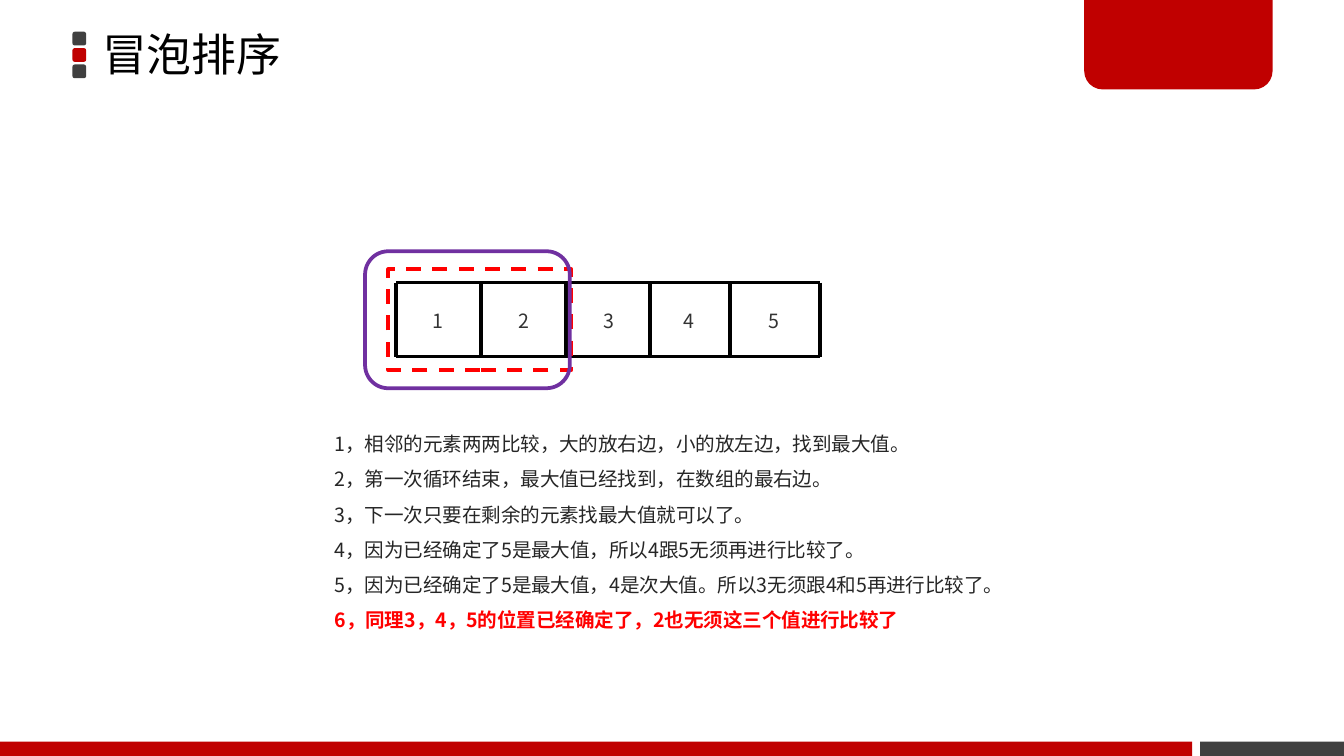
from dataclasses import dataclass

from lxml.etree import SubElement
from pptx import Presentation
from pptx.dml.color import RGBColor
from pptx.enum.dml import MSO_LINE
from pptx.enum.shapes import MSO_CONNECTOR, MSO_SHAPE
from pptx.enum.text import MSO_ANCHOR, MSO_AUTO_SIZE, PP_ALIGN
from pptx.oxml.ns import qn
from pptx.util import Cm, Pt


@dataclass(frozen=True)
class Theme:
    red: str = "C00000"
    gray: str = "404040"
    black: str = "000000"
    digit: str = "333333"
    body: str = "262626"
    alert: str = "FF0000"
    purple: str = "7030A0"
    title_font: str = "Noto Sans CJK JP"
    body_font: str = "Noto Sans CJK SC"
    title_size: float = 24
    body_size: float = 10.5
    body_leading: float = 18.9
    line_width: float = 2


theme = Theme()


def write(paragraph, text, color, size=theme.body_size, name=theme.body_font, bold=False):
    """Fill a paragraph with one left-aligned run, with its East Asian font set too."""
    paragraph.alignment = PP_ALIGN.LEFT
    run = paragraph.add_run()
    run.text = text
    for key, value in {"size": Pt(size), "name": name, "bold": bold}.items():
        setattr(run.font, key, value)
    run.font.color.rgb = RGBColor.from_string(color)
    SubElement(run._r.get_or_add_rPr(), qn("a:ea"), typeface=name)


def draw(kind, box, fill=None, line=None, corner=None):
    """Add a preset shape; box is left, top, width, height in centimetres."""
    shape = slide.shapes.add_shape(kind, *map(Cm, box))
    shape.shadow.inherit = False
    if fill:
        shape.fill.solid()
        shape.fill.fore_color.rgb = RGBColor.from_string(fill)
    else:
        shape.fill.background()
    if line:
        shape.line.color.rgb = RGBColor.from_string(line)
        shape.line.width = Pt(theme.line_width)
    else:
        shape.line.fill.background()
    if corner is not None:
        shape.adjustments[0] = corner
    return shape


presentation = Presentation()
presentation.slide_width, presentation.slide_height = Cm(25.4), Cm(14.29)
slide = presentation.slides.add_slide(presentation.slide_layouts[1])
title, body = slide.placeholders

# Title and list
placeholder_boxes = [(title, (1.75, -0.05, 14.96, 2.26)), (body, (6.07, 7.82, 15.04, 4.29))]
for placeholder, box in placeholder_boxes:
    for key, value in zip(("left", "top", "width", "height"), box):
        setattr(placeholder, key, Cm(value))
    placeholder.text_frame.auto_size = MSO_AUTO_SIZE.NONE

title_format = {
    "vertical_anchor": MSO_ANCHOR.MIDDLE,
    "margin_left": Cm(0.18),
    "margin_right": Cm(0.18),
    "margin_top": Cm(0.1),
    "margin_bottom": Cm(0.1),
}
for key, value in title_format.items():
    setattr(title.text_frame, key, value)
heading = title.text_frame.paragraphs[0]
heading.line_spacing = 0.9
write(heading, "冒泡排序", theme.black, theme.title_size, theme.title_font)

steps = [
    "1，相邻的元素两两比较，大的放右边，小的放左边，找到最大值。",
    "2，第一次循环结束，最大值已经找到，在数组的最右边。",
    "3，下一次只要在剩余的元素找最大值就可以了。",
    "4，因为已经确定了5是最大值，所以4跟5无须再进行比较了。",
    "5，因为已经确定了5是最大值，4是次大值。所以3无须跟4和5再进行比较了。",
    "6，同理3，4，5的位置已经确定了，2也无须这三个值进行比较了",
]
paragraph_format = {
    "line_spacing": Pt(theme.body_leading),
    "space_before": Pt(0),
    "space_after": Pt(0),
}
for index, step in enumerate(steps):
    paragraph = body.text_frame.add_paragraph() if index else body.text_frame.paragraphs[0]
    for key, value in paragraph_format.items():
        setattr(paragraph, key, value)
    properties = paragraph._p.get_or_add_pPr()
    properties.set("marL", "0")
    properties.set("indent", "0")
    SubElement(properties, qn("a:buNone"))
    is_last = index == len(steps) - 1
    write(paragraph, step, theme.alert if is_last else theme.body, bold=is_last)

# Decoration: title marker, corner tab, footer bars
for index, color in enumerate((theme.gray, theme.red, theme.gray)):
    draw(MSO_SHAPE.ROUNDED_RECTANGLE, (1.37, 0.6 + 0.31 * index, 0.26, 0.26), color, corner=0.17)
tab = draw(MSO_SHAPE.ROUND_2_SAME_RECTANGLE, (20.49, -0.05, 3.56, 1.74), theme.red, corner=0.2)
tab.rotation = 180
draw(MSO_SHAPE.RECTANGLE, (0, 14.02, 22.53, 0.27), theme.red)
draw(MSO_SHAPE.RECTANGLE, (22.68, 14.02, 2.72, 0.27), theme.gray)

# Array: two rails, six dividers, five digits
edges = [7.49, 9.09, 10.69, 12.29, 13.79, 15.49]
array_top, array_bottom = 5.34, 6.74
rails = [(edges[0], y, edges[-1], y) for y in (array_top, array_bottom)]
dividers = [(x, array_top, x, array_bottom) for x in edges]
for ends in rails + dividers:
    connector = slide.shapes.add_connector(MSO_CONNECTOR.STRAIGHT, *map(Cm, ends))
    connector.line.color.rgb = RGBColor.from_string(theme.black)
    connector.line.width = Pt(theme.line_width)
    SubElement(connector._element.spPr, qn("a:effectLst"))

digit_lefts = [7.92, 9.55, 11.15, 12.67, 14.27]
for number, left in enumerate(digit_lefts, start=1):
    digit = slide.shapes.add_textbox(Cm(left), Cm(5.72), Cm(0.74), Cm(0.71))
    digit.text_frame.word_wrap = False
    write(digit.text_frame.paragraphs[0], str(number), theme.digit)

# Frames around the pair being compared
pair_frame = draw(MSO_SHAPE.RECTANGLE, (7.34, 5.09, 3.46, 1.91), line=theme.alert)
pair_frame.line.dash_style = MSO_LINE.DASH
draw(MSO_SHAPE.ROUNDED_RECTANGLE, (6.9, 4.75, 3.87, 2.59), line=theme.purple, corner=0.17)

presentation.save("out.pptx")
